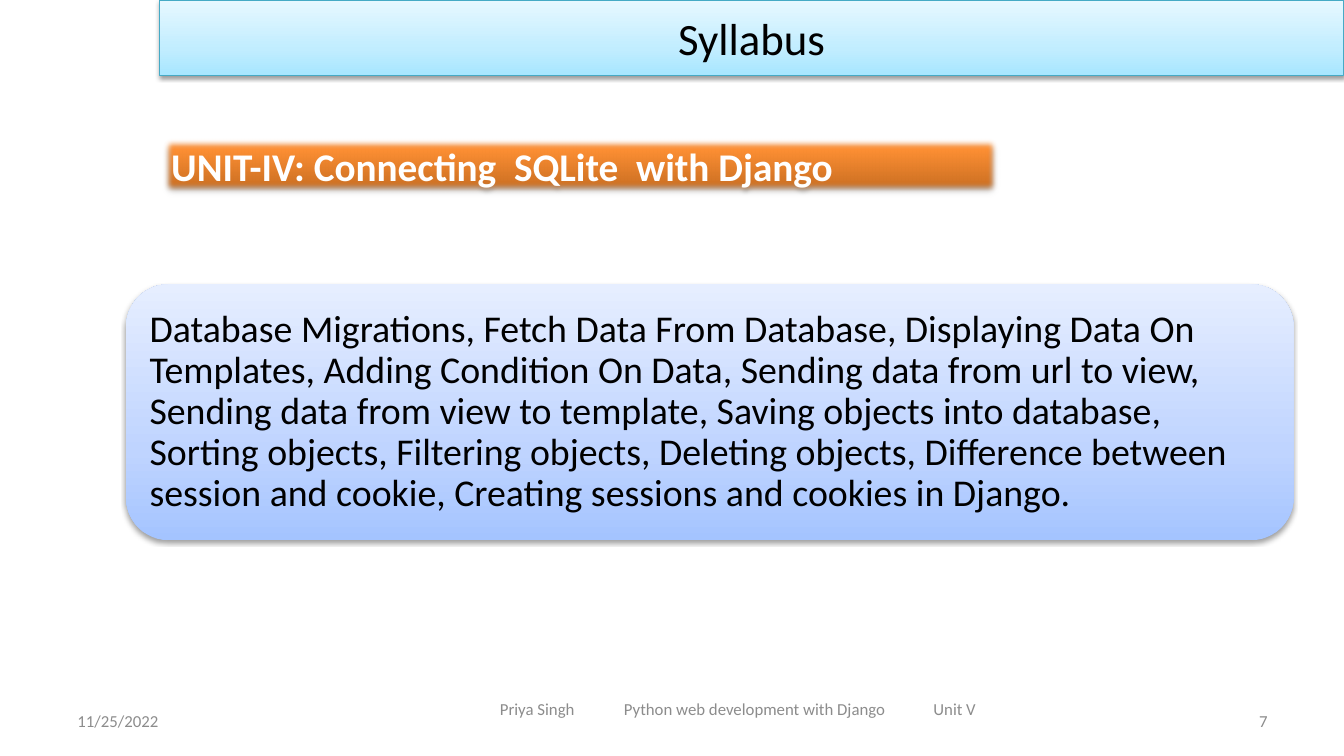
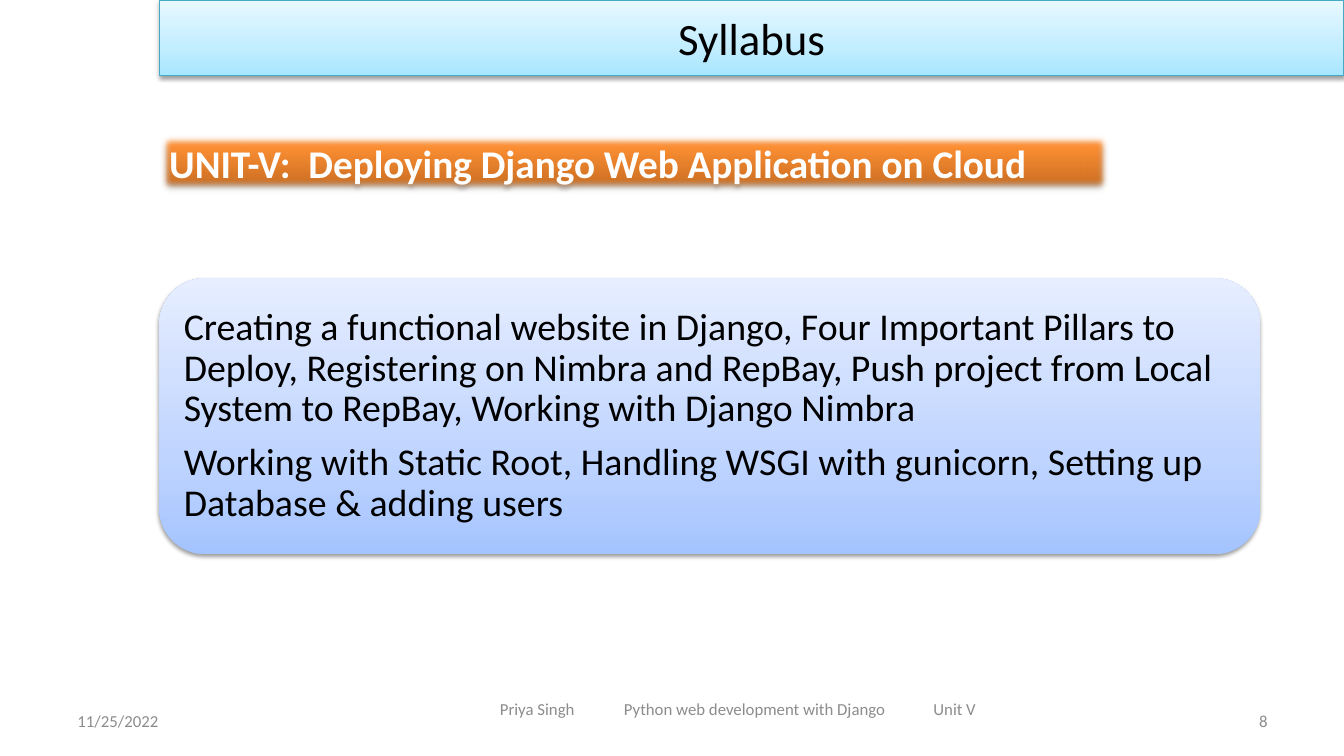
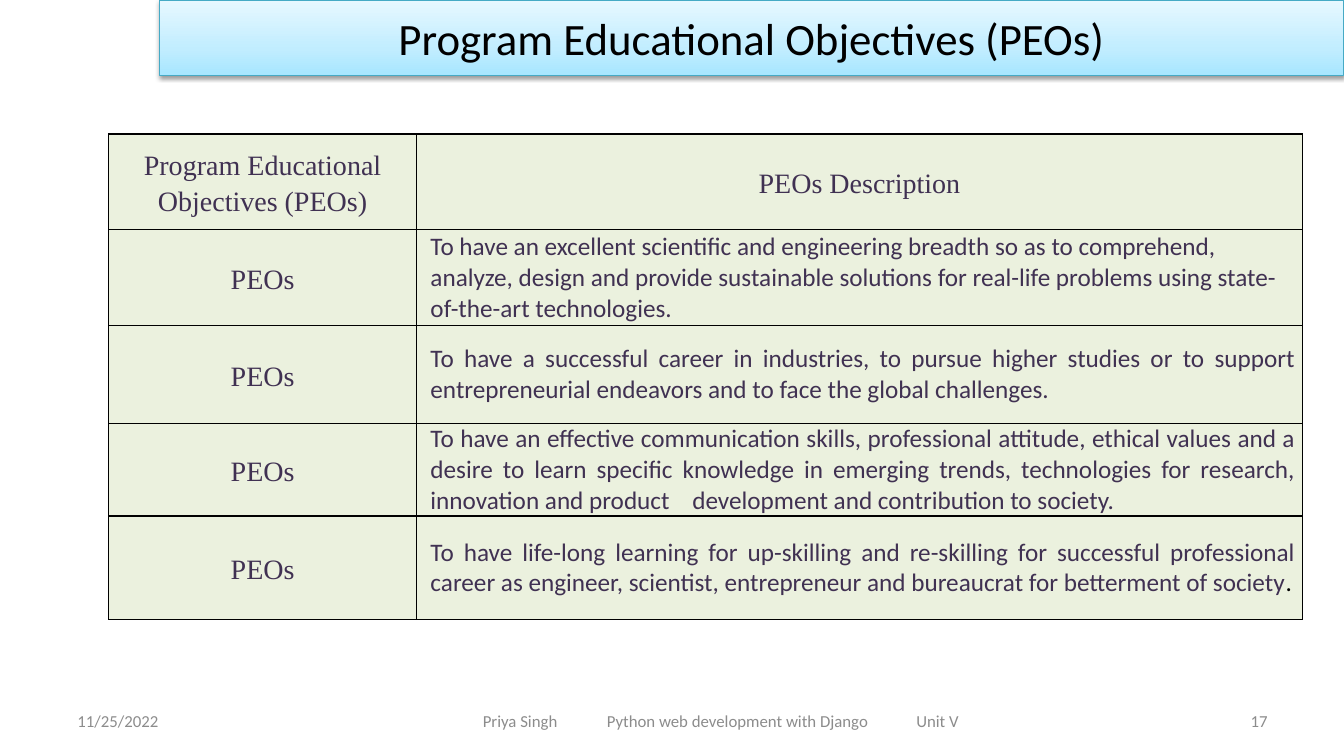
from pptx import Presentation
from pptx.dml.color import RGBColor
from pptx.enum import shapes, text
from pptx.oxml import parse_xml
from pptx.oxml.ns import nsdecls
from pptx.util import Inches, Pt

# Shared look
BODY_FONT, TABLE_FONT = "Calibri", "Times New Roman"
BLACK, WHITE, GREY, PURPLE = "000000", "FFFFFF", "8C8C8C", "403152"
BAND_LINE, CELL_FILL = "46AAC5", "EBF1DE"
BAND_STOPS = [(0, "A7E6FF"), (35, "C1EDFF"), (100, "E7F8FF")]
UNIT_STOPS = [(0, "C2691F"), (80, "FF9034"), (100, "FF9136")]
TOPIC_STOPS = [(0, "A4C4FF"), (35, "BFD4FF"), (100, "E6EEFF")]
LEFT, CENTER, RIGHT, JUSTIFY = (text.PP_ALIGN.LEFT, text.PP_ALIGN.CENTER,
                                text.PP_ALIGN.RIGHT, text.PP_ALIGN.JUSTIFY)
MIDDLE, TOP = text.MSO_ANCHOR.MIDDLE, text.MSO_ANCHOR.TOP

# Content
DATE = "11/25/2022"
FOOTER = "Priya Singh\tPython web development with Django\tUnit V"
FOOTER_TABS = (1.23, 4.3)
SYLLABUS = [
    {"number": "7", "unit": "UNIT-IV: Connecting  SQLite  with Django",
     "unit_at": (1.6, 1.36, 8.31, 0.57), "topics_at": (1.25, 2.82, 11.58, 2.54),
     "topics": [
         "Database Migrations, Fetch Data From Database, Displaying Data On Templates, "
         "Adding Condition On Data, Sending data from url to view, Sending data from view "
         "to template, Saving objects into database, Sorting objects, Filtering objects, "
         "Deleting objects, Difference between session and cookie, Creating sessions and "
         "cookies in Django."]},
    {"number": "8", "unit": "UNIT-V:  Deploying Django Web Application on Cloud",
     "unit_at": (1.58, 1.33, 9.42, 0.57), "topics_at": (1.58, 2.76, 10.92, 2.74),
     "topics": [
         "Creating a functional website in Django, Four Important Pillars to Deploy, "
         "Registering on Nimbra and RepBay, Push project from Local System to RepBay, "
         "Working with Django Nimbra",
         "Working with Static Root, Handling WSGI with gunicorn, Setting up Database & "
         "adding users"]},
]
PEO_TITLE = "Program Educational Objectives (PEOs)"
PEO_HEADER = (PEO_TITLE, "PEOs Description")
PEO_LABEL = "PEOs"
PEOS = [
    ("To have an excellent scientific and engineering breadth so as to comprehend, analyze, "
     "design and provide sustainable solutions for real-life problems using "
     "state-of-the-art technologies.", LEFT),
    ("To have a successful career in industries, to pursue higher studies or to support "
     "entrepreneurial endeavors and to face the global challenges.", JUSTIFY),
    ("To have an effective communication skills, professional attitude, ethical values and a "
     "desire to learn specific knowledge in emerging trends, technologies for research, "
     "innovation and product    development and contribution to society.", JUSTIFY),
    ("To have life-long learning for up-skilling and re-skilling for successful professional "
     "career as engineer, scientist, entrepreneur and bureaucrat for betterment of society",
     JUSTIFY),
]
COLUMN_WIDTHS = (3.05, 8.79)
ROW_HEIGHTS = (0.95, 0.95, 0.97, 0.92, 1.03)


def rgb(color):
    return RGBColor.from_string(color)


def inches(at):
    return [Inches(value) for value in at]


def format_paragraph(paragraph, size, color, align=LEFT, font=BODY_FONT, bold=False):
    paragraph.alignment = align
    paragraph.font.size = Pt(size)
    paragraph.font.name = font
    paragraph.font.bold = bold
    paragraph.font.color.rgb = rgb(color)


def decorate(shape, stops, line=None, alpha=38, distance=1.6, soft_edge=None):
    """Upward gradient, optional outline, drop shadow and soft edge."""
    if line:
        shape.line.color.rgb = rgb(line)
        shape.line.width = Pt(0.75)
    else:
        shape.line.fill.background()
    outline = shape.line._get_or_add_ln()
    stop_xml = "".join(f'<a:gs pos="{pos * 1000}"><a:srgbClr val="{color}"/></a:gs>'
                       for pos, color in stops)
    outline.addprevious(parse_xml(
        f'<a:gradFill {nsdecls("a")} rotWithShape="1"><a:gsLst>{stop_xml}</a:gsLst>'
        '<a:lin ang="16200000" scaled="0"/></a:gradFill>'))
    soft_xml = f'<a:softEdge rad="{Pt(soft_edge)}"/>' if soft_edge else ""
    outline.addnext(parse_xml(
        f'<a:effectLst {nsdecls("a")}><a:outerShdw blurRad="{Pt(3.1)}" dist="{Pt(distance)}" '
        f'dir="5400000" rotWithShape="0"><a:srgbClr val="{BLACK}">'
        f'<a:alpha val="{alpha * 1000}"/></a:srgbClr></a:outerShdw>{soft_xml}</a:effectLst>'))


def add_footer_text(slide, at, words, align=LEFT, tabs=()):
    box = slide.shapes.add_textbox(*inches(at))
    frame = box.text_frame
    frame.word_wrap = True
    frame.vertical_anchor = MIDDLE
    paragraph = frame.paragraphs[0]
    paragraph.text = words
    if tabs:
        tab_xml = "".join(f'<a:tab pos="{Inches(tab)}" algn="l"/>' for tab in tabs)
        paragraph._p.get_or_add_pPr().append(
            parse_xml(f'<a:tabLst {nsdecls("a")}>{tab_xml}</a:tabLst>'))
    format_paragraph(paragraph, 12, GREY, align)


def add_base_slide(prs, title, number, footer_at=(4.86, 6.83, 5.06, 0.4)):
    """Slide with the title band and the footer row."""
    slide = prs.slides.add_slide(prs.slide_layouts[5])
    band = slide.shapes.title
    band.left, band.top, band.width, band.height = inches((1.58, 0, 11.75, 0.75))
    decorate(band, BAND_STOPS, line=BAND_LINE)
    band.text_frame.text = title
    band.text_frame.auto_size = text.MSO_AUTO_SIZE.NONE
    band.text_frame.vertical_anchor = MIDDLE
    format_paragraph(band.text_frame.paragraphs[0], 32, BLACK, CENTER)
    add_footer_text(slide, (0.67, 6.95, 3.11, 0.4), DATE)
    add_footer_text(slide, footer_at, FOOTER, tabs=FOOTER_TABS)
    add_footer_text(slide, (9.56, 6.95, 3.11, 0.4), number, RIGHT)
    return slide


def add_syllabus_slide(prs, entry):
    slide = add_base_slide(prs, "Syllabus", entry["number"])

    # Unit heading
    unit = slide.shapes.add_shape(shapes.MSO_SHAPE.RECTANGLE, *inches(entry["unit_at"]))
    decorate(unit, UNIT_STOPS, alpha=35, distance=1.8, soft_edge=5)
    unit.text_frame.text = entry["unit"]
    unit.text_frame.vertical_anchor = TOP
    format_paragraph(unit.text_frame.paragraphs[0], 28, WHITE, JUSTIFY, bold=True)

    # Topics panel
    panel = slide.shapes.add_shape(shapes.MSO_SHAPE.ROUNDED_RECTANGLE,
                                   *inches(entry["topics_at"]))
    decorate(panel, TOPIC_STOPS)
    frame = panel.text_frame
    frame.text = "\n".join(entry["topics"])
    frame.vertical_anchor = MIDDLE
    frame.margin_left = frame.margin_right = Inches(0.11)
    frame.margin_top = frame.margin_bottom = Inches(0.11)
    for paragraph in frame.paragraphs:
        format_paragraph(paragraph, 27, BLACK)
        paragraph.line_spacing = 0.9
        paragraph.space_after = Pt(9.45)


def fill_cell(cell, words, size, align, font, left_margin=0.07, line_spacing=1.0):
    properties = cell._tc.get_or_add_tcPr()
    for side in ("lnL", "lnR", "lnT", "lnB"):
        properties.append(parse_xml(
            f'<a:{side} {nsdecls("a")} w="{Pt(1)}"><a:solidFill>'
            f'<a:srgbClr val="{BLACK}"/></a:solidFill></a:{side}>'))
    cell.fill.solid()
    cell.fill.fore_color.rgb = rgb(CELL_FILL)
    cell.vertical_anchor = MIDDLE
    cell.margin_left, cell.margin_right = Inches(left_margin), Inches(0.07)
    cell.margin_top = cell.margin_bottom = 0
    cell.text = words
    paragraph = cell.text_frame.paragraphs[0]
    format_paragraph(paragraph, size, PURPLE, align, font)
    paragraph.line_spacing = line_spacing


def add_objectives_slide(prs):
    slide = add_base_slide(prs, PEO_TITLE, "17", footer_at=(4.69, 6.95, 5.23, 0.4))
    frame = slide.shapes.add_table(
        len(ROW_HEIGHTS), len(COLUMN_WIDTHS),
        *inches((1.08, 1.33, sum(COLUMN_WIDTHS), sum(ROW_HEIGHTS))))
    table = frame.table
    table.first_row = table.horz_banding = False
    for column, width in zip(table.columns, COLUMN_WIDTHS):
        column.width = Inches(width)
    for row, height in zip(table.rows, ROW_HEIGHTS):
        row.height = Inches(height)

    # Header row, then one row per objective
    for column, heading in enumerate(PEO_HEADER):
        fill_cell(table.cell(0, column), heading, 20, CENTER, TABLE_FONT, line_spacing=1.15)
    for row, (description, align) in enumerate(PEOS, start=1):
        fill_cell(table.cell(row, 0), PEO_LABEL, 20, CENTER, TABLE_FONT, line_spacing=1.15)
        fill_cell(table.cell(row, 1), description, 18, align, BODY_FONT, left_margin=0.14)

    # Black full stop closing the last objective
    full_stop = table.cell(len(PEOS), 1).text_frame.paragraphs[0].add_run()
    full_stop.text = "."
    full_stop.font.color.rgb = rgb(BLACK)


def main():
    prs = Presentation()
    prs.slide_width, prs.slide_height = Inches(13.33), Inches(7.5)
    for entry in SYLLABUS:
        add_syllabus_slide(prs, entry)
    add_objectives_slide(prs)
    prs.save("out.pptx")


if __name__ == "__main__":
    main()
